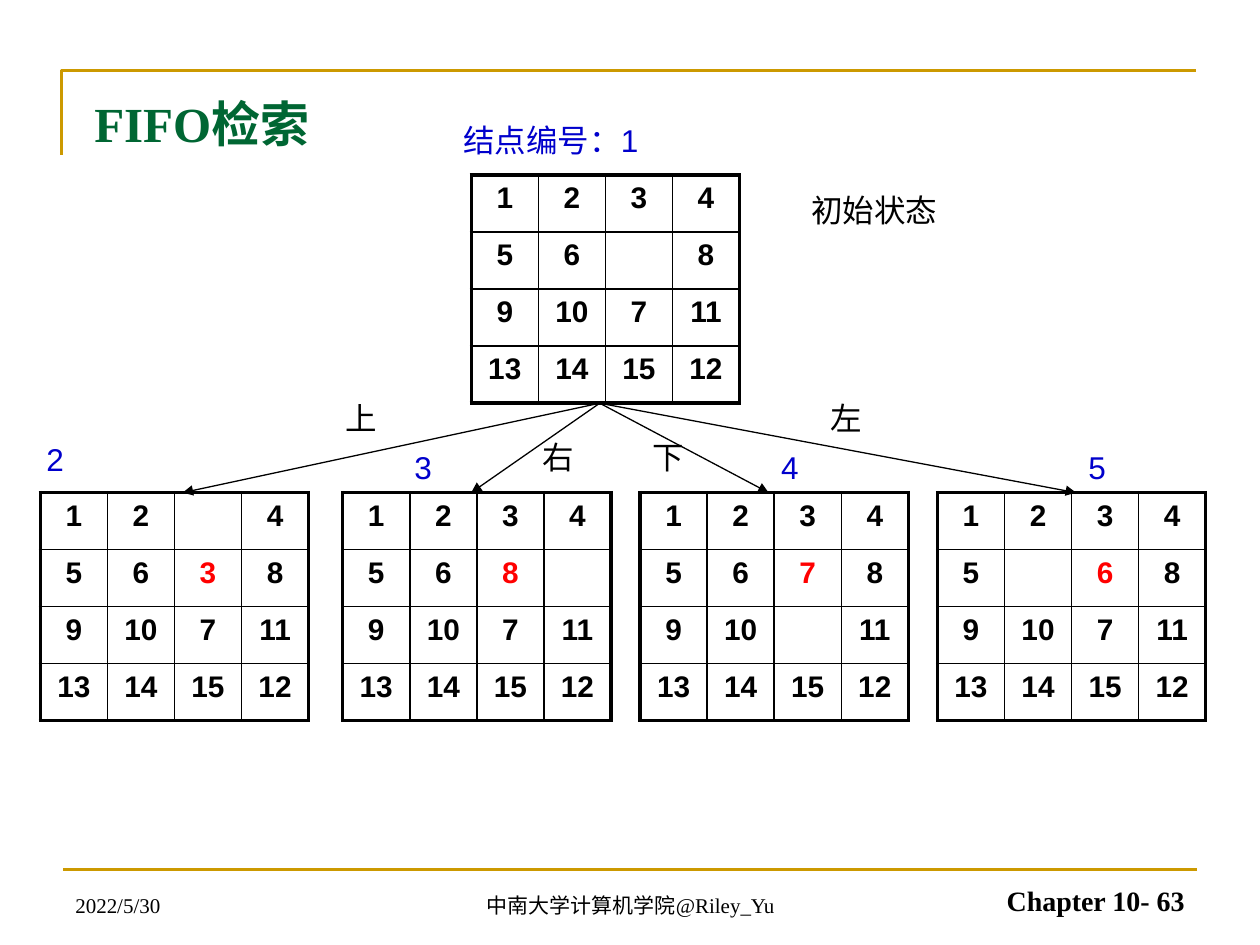
from lxml.etree import SubElement
from pptx import Presentation
from pptx.dml.color import RGBColor
from pptx.enum.shapes import MSO_CONNECTOR
from pptx.enum.text import MSO_ANCHOR as Anchor, PP_ALIGN as Align
from pptx.oxml.ns import qn
from pptx.util import Inches, Pt

BLACK, BLUE, RED, GREEN, GOLD = "000000", "0000CC", "FF0000", "006633", "CC9900"
SIZE = 4
BOARD_W, BOARD_H = 2.13, 1.81
START = [["1", "2", "3", "4"],
         ["5", "6", "", "8"],
         ["9", "10", "7", "11"],
         ["13", "14", "15", "12"]]
BLANK = (1, 2)
ROOT_LEFT, ROOT_TOP, CHILD_TOP = 3.74, 1.39, 3.91
FORK = (4.76, ROOT_TOP + BOARD_H)

# move, tile that moves into the blank, move label at,
# node number, number at, board left, arrow end x
CHILDREN = [
    ("上", (0, 2), (2.64, 3.12), "2", (0.27, 3.44), 0.32, 1.45),
    ("右", (1, 3), (4.21, 3.43), "3", (3.19, 3.51), 2.72, 3.74),
    ("下", (2, 2), (5.08, 3.43), "4", (6.10, 3.51), 5.08, 6.10),
    ("左", (1, 1), (6.49, 3.12), "5", (8.54, 3.51), 7.44, 8.54),
]


def rgb(color):
    return RGBColor.from_string(color)


def write(frame, text, align=Align.LEFT, color=BLACK, **font_format):
    paragraph = frame.paragraphs[0]
    paragraph.alignment = align
    run = paragraph.add_run()
    run.text = text
    run.font.color.rgb = rgb(color)
    for name, value in font_format.items():
        setattr(run.font, name, value)


def add_text(slide, box, text, anchor=Anchor.TOP, **text_format):
    frame = slide.shapes.add_textbox(*map(Inches, box)).text_frame
    frame.word_wrap = True
    frame.vertical_anchor = anchor
    write(frame, text, **text_format)


def add_label(slide, left, top, width, text, color=BLACK):
    add_text(slide, (left, top, width, 0.4), text,
             color=color, size=Pt(18), name="Arial")


def add_line(slide, start, end, color, width, arrow=False):
    line = slide.shapes.add_connector(MSO_CONNECTOR.STRAIGHT,
                                      *map(Inches, (*start, *end)))
    line.line.color.rgb = rgb(color)
    line.line.width = Pt(width)
    if arrow:
        SubElement(line.line._get_or_add_ln(), qn("a:tailEnd"), type="triangle")
    SubElement(line._element.spPr, qn("a:effectLst"))


def set_borders(cell, row, col):
    """Thick on the rim of the board, thin inside."""
    last = SIZE - 1
    rim = {"L": col == 0, "R": col == last, "T": row == 0, "B": row == last}
    properties = cell._tc.get_or_add_tcPr()
    for side, is_rim in rim.items():
        border = SubElement(properties, qn(f"a:ln{side}"),
                            w=str(Pt(2.25 if is_rim else 1)))
        fill = SubElement(border, qn("a:solidFill"))
        SubElement(fill, qn("a:srgbClr"), val=BLACK)


def add_board(slide, left, top, tiles, moved=None):
    """Draw a puzzle state, with the tile at moved in red."""
    box = map(Inches, (left, top, BOARD_W, BOARD_H))
    table = slide.shapes.add_table(SIZE, SIZE, *box).table
    table.first_row = table.horz_banding = False
    for row, numbers in enumerate(tiles):
        for col, number in enumerate(numbers):
            cell = table.cell(row, col)
            set_borders(cell, row, col)
            cell.fill.background()
            if number:
                write(cell.text_frame, number, Align.CENTER,
                      RED if (row, col) == moved else BLACK,
                      size=Pt(17), name="Arial", bold=True)


def slide_tile(tiles, source):
    """Return the state after the tile at source moves into the blank."""
    result = [list(numbers) for numbers in tiles]
    (row, col), (blank_row, blank_col) = source, BLANK
    result[blank_row][blank_col] = result[row][col]
    result[row][col] = ""
    return result


def add_header(slide, left, top, width):
    corner = slide.shapes.build_freeform(Inches(left), Inches(top + 0.67))
    corner.add_line_segments([(Inches(left), Inches(top)),
                              (Inches(left + width), Inches(top))], close=False)
    rule = corner.convert_to_shape()
    rule.shadow.inherit = False
    rule.fill.background()
    rule.line.color.rgb = rgb(GOLD)
    rule.line.width = Pt(1.5)
    add_text(slide, (left + 0.16, top + 0.13, width, 1.25), "FIFO检索",
             color=GREEN, size=Pt(28), name="Times New Roman", bold=True)


def add_search_tree(slide):
    add_label(slide, 3.58, 0.91, 1.73, "结点编号：1", BLUE)
    add_label(slide, 6.34, 1.47, 1.57, "初始状态")
    add_board(slide, ROOT_LEFT, ROOT_TOP, START)
    for move, source, move_at, node, node_at, left, arrow_x in CHILDREN:
        add_board(slide, left, CHILD_TOP, slide_tile(START, source), BLANK)
        add_line(slide, FORK, (arrow_x, CHILD_TOP), BLACK, 0.75, arrow=True)
        add_label(slide, *move_at, 0.63, move)
        add_label(slide, *node_at, 0.39, node, BLUE)


def add_footer(slide, left, top, width):
    add_line(slide, (left, top), (left + width, top), GOLD, 1.5)
    parts = [
        (0, 2.33, "2022/5/30", Align.LEFT, 12, False),
        (2.92, 3.17, "中南大学计算机学院@Riley_Yu", Align.CENTER, 12, False),
        (6.67, 2.33, "Chapter 10- 63", Align.RIGHT, 16, True),
    ]
    for offset, part_width, text, align, size, bold in parts:
        add_text(slide, (left + offset, top - 0.07, part_width, 0.5), text,
                 Anchor.BOTTOM, align=align, size=Pt(size),
                 name="Times New Roman", bold=bold)


def main():
    deck = Presentation()
    deck.slide_width, deck.slide_height = Inches(10), Inches(7.5)
    slide = deck.slides.add_slide(deck.slide_layouts[6])
    add_header(slide, 0.49, 0.56, 9)
    add_search_tree(slide)
    add_footer(slide, 0.5, 6.9, 9)
    deck.save("out.pptx")


if __name__ == "__main__":
    main()
